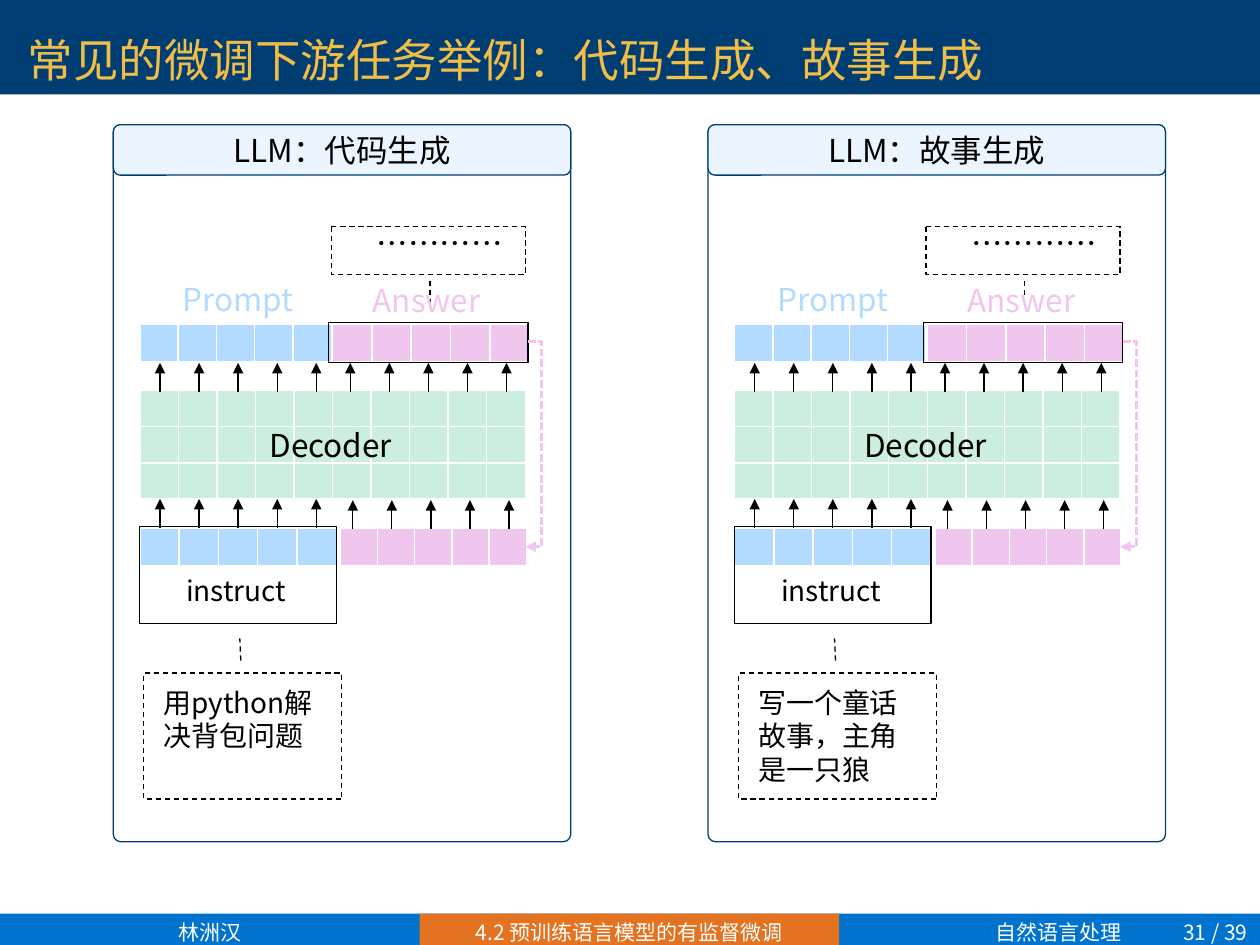
from dataclasses import dataclass

import lxml.etree
import pptx
import pptx.dml.color
import pptx.enum.dml
import pptx.enum.shapes
import pptx.enum.text
import pptx.oxml.ns
import pptx.util
from pptx.util import Inches

FONT = "Noto Sans CJK SC"
COLORS = {
    "navy": "003D72", "blue": "0073CF", "orange": "E37221", "gold": "F0BD47",
    "pale": "EBF5FF", "prompt": "B3DBFF", "answer": "F1C6EE",
    "decoder": "CCEEDF", "black": "000000", "white": "FFFFFF",
}
SHAPES = pptx.enum.shapes.MSO_SHAPE
DASHES = pptx.enum.dml.MSO_LINE
ALIGN = pptx.enum.text.PP_ALIGN
qn = pptx.oxml.ns.qn


@dataclass
class Panel:
    left: float
    heading: str
    request: str


@dataclass
class TokenGrid:
    left: float
    top: float
    width: float
    height: float
    rows: int
    columns: int
    color: str


@dataclass
class ArrowRow:
    left: float
    bottom: float


# Offsets are measured from the left edge of a panel
GRIDS = [
    TokenGrid(0.21, 3.1, 3.06, 0.86, 3, 10, "decoder"),
    TokenGrid(0.21, 4.19, 1.56, 0.3, 1, 5, "prompt"),
    TokenGrid(0.21, 2.57, 1.52, 0.3, 1, 5, "prompt"),
    TokenGrid(1.74, 2.57, 1.56, 0.3, 1, 5, "answer"),
    TokenGrid(1.8, 4.19, 1.48, 0.3, 1, 5, "answer"),
]
ARROW_ROWS = [ArrowRow(0.37, 4.19), ArrowRow(1.9, 4.2),
              ArrowRow(0.37, 3.11), ArrowRow(1.88, 3.11)]
ARROW_STEP, ARROW_LENGTH = 0.31, 0.23
PANELS = [Panel(5.62, "LLM：故事生成", "写一个童话故事，主角是一只狼"),
          Panel(0.9, "LLM：代码生成", "用python解决背包问题")]


def rgb(name: str) -> pptx.dml.color.RGBColor:
    return pptx.dml.color.RGBColor.from_string(COLORS[name])


def add_box(slide, kind, left: float, top: float, width: float, height: float,
            fill: str = "", line: str = "", dash=None, adjustments=()):
    shape = slide.shapes.add_shape(kind, Inches(left), Inches(top), Inches(width), Inches(height))
    shape.shadow.inherit = False
    for index, value in enumerate(adjustments):
        shape.adjustments[index] = value
    if fill:
        shape.fill.solid()
        shape.fill.fore_color.rgb = rgb(fill)
    else:
        shape.fill.background()
    if line:
        shape.line.color.rgb = rgb(line)
        shape.line.width = pptx.util.Pt(0.75)
        if dash is not None:
            shape.line.dash_style = dash
    else:
        shape.line.fill.background()
    return shape


def add_text(slide, text: str, left: float, top: float, width: float, height: float,
             size: float, color: str = "black", align=ALIGN.LEFT, grow: bool = True):
    box = slide.shapes.add_textbox(Inches(left), Inches(top), Inches(width), Inches(height))
    frame = box.text_frame
    frame.word_wrap = True
    if grow:
        frame.auto_size = pptx.enum.text.MSO_AUTO_SIZE.SHAPE_TO_FIT_TEXT
    paragraph = frame.paragraphs[0]
    paragraph.alignment = align
    run = paragraph.add_run()
    run.text = text
    run.font.size = pptx.util.Pt(size)
    run.font.color.rgb = rgb(color)
    run.font.name = FONT
    east_asian = lxml.etree.SubElement(run._r.get_or_add_rPr(), qn("a:ea"))
    east_asian.set("typeface", FONT)
    return frame


def add_grid(slide, grid: TokenGrid, origin: float) -> None:
    table = slide.shapes.add_table(
        grid.rows, grid.columns, Inches(origin + grid.left), Inches(grid.top),
        Inches(grid.width), Inches(grid.height)).table
    table.first_row = table.horz_banding = False
    for row in table.rows:
        row.height = Inches(grid.height / grid.rows)
    for cell in table.iter_cells():
        cell.margin_left = cell.margin_right = cell.margin_top = cell.margin_bottom = 0
        # A small end mark keeps the empty rows at their set height
        end_mark = lxml.etree.SubElement(cell.text_frame.paragraphs[0]._p, qn("a:endParaRPr"))
        end_mark.set("sz", "800")
        properties = cell._tc.get_or_add_tcPr()
        for side in ("lnL", "lnR", "lnT", "lnB"):
            border = lxml.etree.SubElement(properties, qn(f"a:{side}"), w="12700")
            solid = lxml.etree.SubElement(border, qn("a:solidFill"))
            lxml.etree.SubElement(solid, qn("a:srgbClr"), val=COLORS["white"])
        cell.fill.solid()
        cell.fill.fore_color.rgb = rgb(grid.color)


def add_arrow(slide, kind, start: tuple[float, float], end: tuple[float, float],
              color: str = "black", width: float = 0.75):
    connector = slide.shapes.add_connector(kind, *(Inches(value) for value in start + end))
    connector.line.color.rgb = rgb(color)
    connector.line.width = pptx.util.Pt(width)
    lxml.etree.SubElement(connector.line._get_or_add_ln(), qn("a:tailEnd"), type="triangle")
    lxml.etree.SubElement(connector._element.spPr, qn("a:effectLst"))
    return connector


def add_feedback(slide, origin: float) -> None:
    """Lead the answer tokens back to the decoder input."""
    connector = add_arrow(slide, pptx.enum.shapes.MSO_CONNECTOR.ELBOW,
                          (origin + 3.29, 2.71), (origin + 3.27, 4.34), "answer", 1.5)
    connector.line.dash_style = DASHES.SQUARE_DOT
    geometry = connector._element.spPr.find(qn("a:prstGeom"))
    guides = geometry.find(qn("a:avLst"))
    if guides is None:
        guides = lxml.etree.SubElement(geometry, qn("a:avLst"))
    lxml.etree.SubElement(guides, qn("a:gd"), name="adj1", fmla="val -550000")


def add_panel(slide, panel: Panel) -> None:
    x = panel.left
    # Frame and heading
    add_box(slide, SHAPES.ROUNDED_RECTANGLE, x, 0.99, 3.63, 5.69, line="navy", adjustments=[0.016])
    add_box(slide, SHAPES.ROUNDED_RECTANGLE, x, 0.99, 3.63, 0.4, "pale", "navy", adjustments=[0.131])
    add_text(slide, panel.heading, x, 0.99, 3.63, 0.4, 18, align=ALIGN.CENTER)
    # Callouts for the answer and the request
    add_box(slide, SHAPES.LINE_CALLOUT_1, x + 1.73, 1.8, 1.54, 0.38, line="black",
            dash=DASHES.DASH, adjustments=[1.135, 0.509, 1.611, 0.509])
    request = add_box(slide, SHAPES.LINE_CALLOUT_1, x + 0.24, 5.34, 1.57, 1, line="black",
                      dash=DASHES.DASH, adjustments=[1.098, 0.509, 1.274, 0.514])
    request.rotation = 180
    add_text(slide, panel.request, x + 0.3, 5.39, 1.41, 0.91, 16)
    add_text(slide, "…………", x + 1.99, 1.73, 1.49, 0.4, 18)
    # Token grids, arrows and outlines
    for grid in GRIDS:
        add_grid(slide, grid, x)
    for row in ARROW_ROWS:
        for index in range(5):
            arrow_x = x + row.left + index * ARROW_STEP
            add_arrow(slide, pptx.enum.shapes.MSO_CONNECTOR.STRAIGHT,
                      (arrow_x, row.bottom), (arrow_x, row.bottom - ARROW_LENGTH))
    add_box(slide, SHAPES.RECTANGLE, x + 0.21, 4.18, 1.56, 0.77, line="black")
    add_box(slide, SHAPES.RECTANGLE, x + 1.71, 2.56, 1.58, 0.32, line="black")
    add_feedback(slide, x)
    # Labels
    add_text(slide, "Decoder", x + 1.14, 3.33, 1.38, 0.4, 18)
    add_text(slide, "Prompt", x + 0.45, 2.17, 1.38, 0.4, 18, "prompt")
    add_text(slide, "Answer", x + 1.96, 2.18, 1.38, 0.4, 18, "answer")
    add_text(slide, "instruct", x + 0.17, 4.5, 1.61, 0.37, 16, align=ALIGN.CENTER)


def main() -> None:
    presentation = pptx.Presentation()
    presentation.slide_width, presentation.slide_height = Inches(10), Inches(7.5)
    slide = presentation.slides.add_slide(presentation.slide_layouts[6])
    # Bars, title and footer
    add_box(slide, SHAPES.RECTANGLE, 0, 7.25, 10, 0.25, "blue")
    add_box(slide, SHAPES.RECTANGLE, 3.33, 7.25, 3.33, 0.25, "orange")
    add_box(slide, SHAPES.RECTANGLE, 0, 0, 10, 0.75, "navy")
    title = add_text(slide, "常见的微调下游任务举例：代码生成、故事生成",
                     0.12, 0.17, 8.62, 0.6, 26, "gold", grow=False)
    title.vertical_anchor = pptx.enum.text.MSO_ANCHOR.MIDDLE
    for text, left, width, align in [
            ("林洲汉", 0, 3.33, ALIGN.CENTER),
            ("4.2 预训练语言模型的有监督微调", 3.33, 3.33, ALIGN.CENTER),
            ("自然语言处理", 6.67, 2.33, ALIGN.RIGHT),
            ("31 / 39", 9, 1, ALIGN.RIGHT)]:
        add_text(slide, text, left, 7.25, width, 0.25, 12, "white", align, grow=False)
    for panel in PANELS:
        add_panel(slide, panel)
    presentation.save("out.pptx")


if __name__ == "__main__":
    main()
